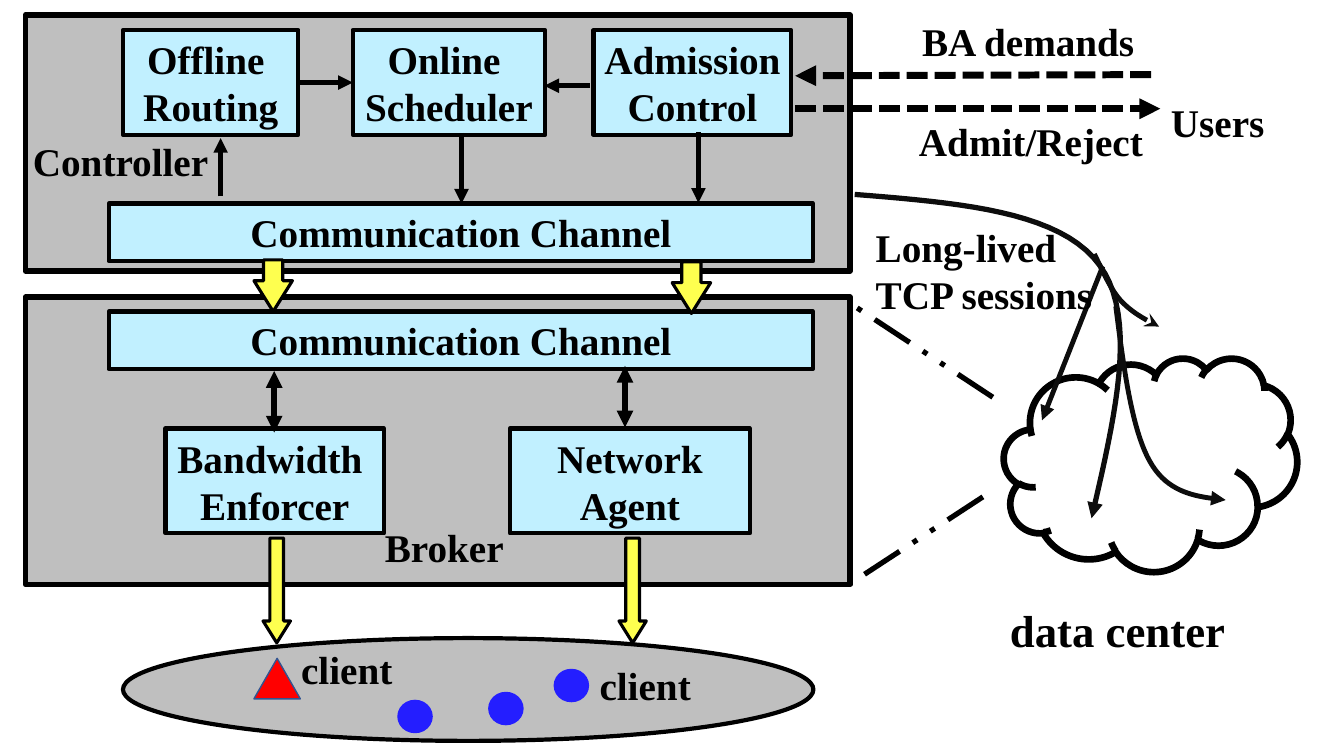
"""Draw the controller, broker and client architecture of a bandwidth service."""
import dataclasses
import typing

import lxml.etree
import pptx
import pptx.dml.color
import pptx.enum.dml
import pptx.enum.shapes
import pptx.enum.text
import pptx.oxml.ns
import pptx.slide
import pptx.util

Cm = pptx.util.Cm
Pt = pptx.util.Pt
RGBColor = pptx.dml.color.RGBColor
Preset = pptx.enum.shapes.MSO_SHAPE
Dash = pptx.enum.dml.MSO_LINE
qn = pptx.oxml.ns.qn

BLACK = RGBColor(0x00, 0x00, 0x00)
INK = RGBColor(0x0D, 0x0D, 0x0D)
GREY = RGBColor(0xBF, 0xBF, 0xBF)
PALE_BLUE = RGBColor(0xC1, 0xF0, 0xFF)
YELLOW = RGBColor(0xFE, 0xFF, 0x4F)
RED = RGBColor(0xFF, 0x00, 0x00)
STEEL = RGBColor(0x32, 0x54, 0x91)
BLUE = RGBColor(0x24, 0x1E, 0xFF)

Point = tuple[float, float]
CURVE_STEPS = 20


@dataclasses.dataclass
class Block:
    left: float
    top: float
    width: float
    height: float
    lines: tuple[str, ...] = ()
    preset: Preset = Preset.RECTANGLE
    fill: RGBColor | None = PALE_BLUE
    outline: RGBColor = BLACK
    weight: float = 3
    adjustments: tuple[float, ...] = ()


@dataclasses.dataclass
class Label:
    left: float
    top: float
    width: float
    lines: tuple[str, ...]
    height: float = 1.45
    size: int = 28
    wrap: bool = False


@dataclasses.dataclass
class Link:
    start: Point
    end: Point
    weight: float = 3.5
    dash: Dash | None = None
    head: str | None = None
    tail: str | None = "triangle"
    color: RGBColor = BLACK


@dataclasses.dataclass
class Session:
    points: tuple[Point, ...]
    weight: float = 3.5
    tail: str = "triangle"


def yellow_arrow(left: float, top: float, width: float, height: float) -> Block:
    return Block(left, top, width, height, (), Preset.DOWN_ARROW, YELLOW, BLACK, 2.25, (0.5, 0.8))


def client_dot(left: float, top: float) -> Block:
    return Block(left, top, 0.86, 0.81, (), Preset.OVAL, BLUE, BLUE, 1)


AREAS = [
    Block(25.3, 9.02, 7.39, 5.38, (), Preset.CLOUD, None, BLACK, 4.75),
    Block(0.64, 7.49, 20.78, 7.24, (), fill=GREY, weight=4),
    Block(0.64, 0.38, 20.78, 6.45, (), fill=GREY, weight=4),
    Block(3.1, 16.08, 17.4, 2.59, (), Preset.OVAL, GREY),
]
MODULES = [
    Block(3.1, 0.76, 4.42, 2.64, ("Offline ", "Routing")),
    Block(8.89, 0.76, 4.85, 2.64, ("Online ", "Scheduler")),
    Block(14.96, 0.76, 4.98, 2.64, ("Admission Control",)),
    Block(2.74, 5.13, 17.75, 1.45, ("Communication Channel",)),
    Block(2.74, 7.85, 17.75, 1.45, ("Communication Channel",)),
    Block(4.17, 10.8, 5.51, 2.64, ("Bandwidth ", "Enforcer")),
    Block(12.85, 10.8, 6.05, 2.64, ("Network", "Agent")),
]
MARKERS = [
    Block(6.4, 16.59, 1.17, 1.02, (), Preset.ISOSCELES_TRIANGLE, RED, STEEL, 1),
    client_dot(10.03, 17.65),
    client_dot(12.32, 17.45),
    client_dot(13.97, 16.87),
    yellow_arrow(6.63, 13.56, 0.69, 2.64),
    yellow_arrow(15.6, 13.56, 0.69, 2.64),
    yellow_arrow(6.4, 6.55, 0.97, 1.3),
    yellow_arrow(16.94, 6.6, 0.97, 1.3),
]
LABELS = [
    Label(25.2, 15.06, 5.99, ("data center",), height=1.63, size=32),
    Label(9.45, 13.06, 3.53, ("Broker",)),
    Label(0.58, 3.33, 4.98, ("Controller",)),
    Label(22.99, 0.3, 6.02, ("BA demands",), wrap=True),
    Label(22.91, 2.82, 6.22, ("Admit/Reject",)),
    Label(29.26, 2.36, 2.9, ("Users",)),
    Label(21.82, 5.51, 7.19, ("Long-lived", "TCP sessions"), height=2.64, wrap=True),
    Label(14.86, 16.54, 2.84, ("client",)),
    Label(7.34, 16.13, 2.84, ("client",)),
]
LINKS = [
    Link((6.91, 9.35), (6.91, 10.9), 4, head="triangle"),
    Link((15.75, 9.22), (15.75, 10.77), 4, head="triangle"),
    Link((29.01, 1.88), (20.04, 1.91), 5, Dash.SQUARE_DOT),
    Link((20.04, 2.74), (29.24, 2.74), 5, Dash.SQUARE_DOT),
    Link((5.56, 4.95), (5.56, 3.48)),
    Link((7.52, 2.08), (8.89, 2.08)),
    Link((14.86, 2.16), (13.72, 2.16)),
    Link((11.63, 3.35), (11.63, 5.13)),
    Link((17.6, 3.33), (17.6, 5.11)),
    Link((24.77, 12.52), (21.39, 14.73), 3.75, Dash.DASH_DOT_DOT, tail=None),
    Link((25.02, 10.01), (21.39, 7.62), 3.75, Dash.DASH_DOT_DOT, tail=None),
    Link((27.79, 6.71), (26.26, 10.59), color=INK),
]
SESSIONS = [
    Session(((21.54, 4.9), (24.13, 5.11), (26.72, 5.31), (27.71, 6.68),
             (28.7, 8.03), (28.09, 10.54), (27.51, 13.06)), 3.75),
    Session(((28.12, 7.72), (28.32, 9.27), (28.52, 10.82), (28.98, 11.63),
             (29.44, 12.45), (30.18, 12.52), (30.89, 12.6))),
    Session(((27.58, 6.4), (27.79, 6.83), (27.97, 7.26), (28.24, 7.57),
             (28.52, 7.87), (28.85, 8.05), (29.21, 8.23)), tail="stealth"),
]


def write_lines(text_frame: typing.Any, lines: tuple[str, ...], size: int,
                alignment: pptx.enum.text.PP_ALIGN) -> None:
    font_format = {"name": "Times New Roman", "size": Pt(size), "bold": True}
    for index, line in enumerate(lines):
        paragraph = text_frame.add_paragraph() if index else text_frame.paragraphs[0]
        paragraph.alignment = alignment
        run = paragraph.add_run()
        run.text = line
        for name, value in font_format.items():
            setattr(run.font, name, value)
        run.font.color.rgb = BLACK


def style_line(shape: typing.Any, color: RGBColor, weight: float, dash: Dash | None = None,
               head: str | None = None, tail: str | None = None) -> None:
    shape.line.color.rgb = color
    for name, value in {"width": Pt(weight), "dash_style": dash}.items():
        setattr(shape.line, name, value)
    properties = shape.element.spPr
    outline = properties.find(qn("a:ln"))
    for tag, kind in {"a:headEnd": head, "a:tailEnd": tail}.items():
        if kind:
            lxml.etree.SubElement(outline, qn(tag), type=kind)
    lxml.etree.SubElement(properties, qn("a:effectLst"))


def draw_block(slide: pptx.slide.Slide, block: Block) -> None:
    shape = slide.shapes.add_shape(
        block.preset, Cm(block.left), Cm(block.top), Cm(block.width), Cm(block.height))
    for index, value in enumerate(block.adjustments):
        shape.adjustments[index] = value
    if block.fill is None:
        shape.fill.background()
    else:
        shape.fill.solid()
        shape.fill.fore_color.rgb = block.fill
    style_line(shape, block.outline, block.weight)
    write_lines(shape.text_frame, block.lines, 28, pptx.enum.text.PP_ALIGN.CENTER)


def draw_label(slide: pptx.slide.Slide, label: Label) -> None:
    shape = slide.shapes.add_textbox(
        Cm(label.left), Cm(label.top), Cm(label.width), Cm(label.height))
    frame_format = {"word_wrap": label.wrap,
                    "auto_size": pptx.enum.text.MSO_AUTO_SIZE.SHAPE_TO_FIT_TEXT}
    for name, value in frame_format.items():
        setattr(shape.text_frame, name, value)
    write_lines(shape.text_frame, label.lines, label.size, pptx.enum.text.PP_ALIGN.LEFT)


def draw_link(slide: pptx.slide.Slide, link: Link) -> None:
    ends = [Cm(value) for value in (*link.start, *link.end)]
    connector = slide.shapes.add_connector(pptx.enum.shapes.MSO_CONNECTOR.STRAIGHT, *ends)
    style_line(connector, link.color, link.weight, link.dash, link.head, link.tail)


def curve_point(controls: tuple[Point, ...], t: float) -> Point:
    weights = ((1 - t) ** 3, 3 * t * (1 - t) ** 2, 3 * t * t * (1 - t), t ** 3)
    x, y = (sum(w * value for w, value in zip(weights, axis)) for axis in zip(*controls))
    return Cm(x), Cm(y)


def draw_session(slide: pptx.slide.Slide, session: Session) -> None:
    trace = [curve_point(session.points[first:first + 4], step / CURVE_STEPS)
             for first in range(0, len(session.points) - 1, 3)
             for step in range(CURVE_STEPS + 1)]
    builder = slide.shapes.build_freeform(*trace[0])
    builder.add_line_segments(trace[1:], close=False)
    shape = builder.convert_to_shape()
    shape.fill.background()
    style_line(shape, INK, session.weight, tail=session.tail)


def main() -> None:
    presentation = pptx.Presentation()
    for name, value in {"slide_width": Cm(33.87), "slide_height": Cm(19.05)}.items():
        setattr(presentation, name, value)
    slide = presentation.slides.add_slide(presentation.slide_layouts[6])
    layers = ((draw_block, AREAS + MODULES), (draw_link, LINKS), (draw_session, SESSIONS),
              (draw_block, MARKERS), (draw_label, LABELS))
    for draw, items in layers:
        for item in items:
            draw(slide, item)
    presentation.save("out.pptx")


if __name__ == "__main__":
    main()
